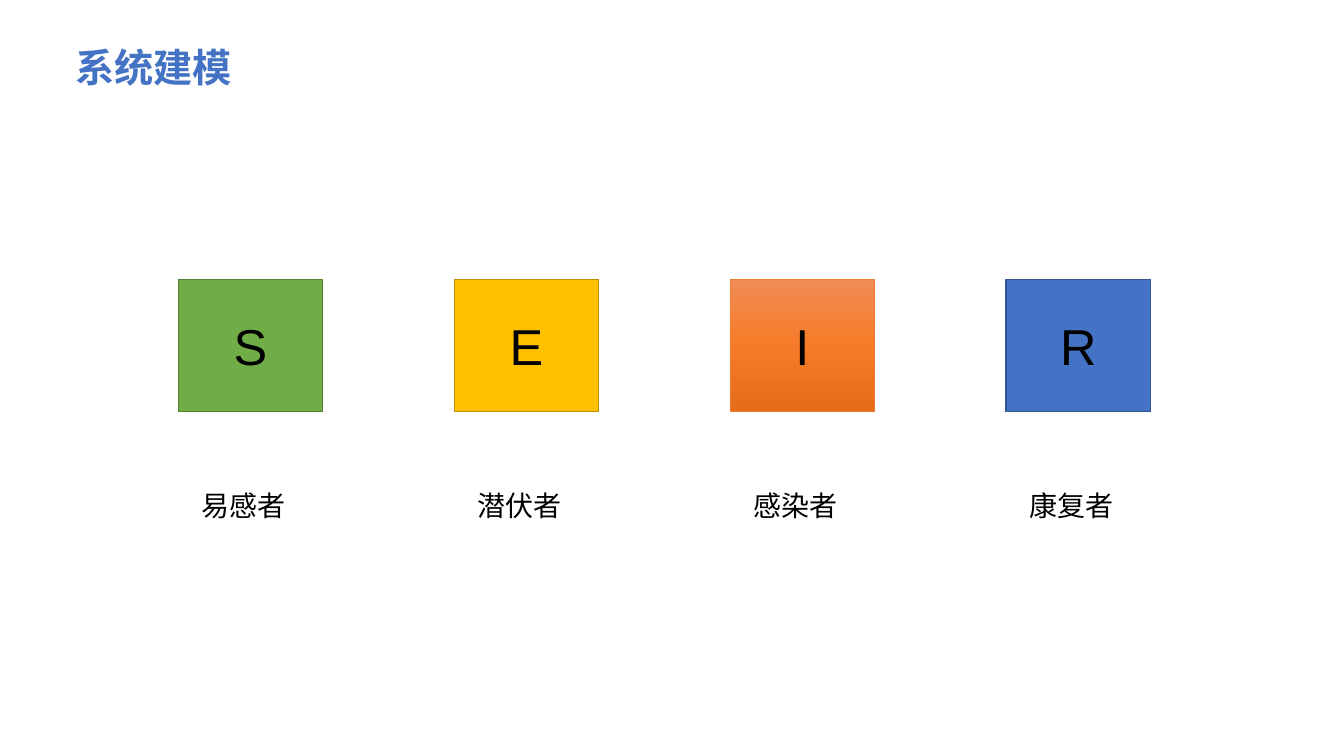
from copy import deepcopy
from dataclasses import dataclass

from pptx import Presentation
from pptx.dml.color import RGBColor
from pptx.enum.shapes import MSO_SHAPE as Preset
from pptx.enum.text import MSO_ANCHOR as Anchor, MSO_AUTO_SIZE as AutoSize, PP_ALIGN as Align
from pptx.oxml.ns import qn
from pptx.shapes.autoshape import Shape
from pptx.slide import Slide
from pptx.text.text import TextFrame
from pptx.util import Inches, Pt

BLACK = RGBColor(0x00, 0x00, 0x00)
BLUE = RGBColor(0x44, 0x72, 0xC4)
DARK_BLUE = RGBColor(0x32, 0x54, 0x91)
GREEN = RGBColor(0x70, 0xAD, 0x47)
DARK_GREEN = RGBColor(0x53, 0x80, 0x35)
YELLOW = RGBColor(0xFF, 0xC0, 0x00)
DARK_YELLOW = RGBColor(0xBD, 0x8E, 0x00)
ORANGE = RGBColor(0xED, 0x7D, 0x31)
ORANGE_TOP = RGBColor(0xF1, 0x8C, 0x57)
ORANGE_MIDDLE = RGBColor(0xF6, 0x7B, 0x28)
ORANGE_BOTTOM = RGBColor(0xE5, 0x6C, 0x19)

FONT = "Arial"
FIRST_LEFT, LAST_LEFT = 1.77, 9.98
BOX_TOP, BOX_WIDTH, BOX_HEIGHT = 2.77, 1.43, 1.31
LABEL_OFFSET, LABEL_TOP, LABEL_WIDTH, LABEL_HEIGHT = 0.13, 4.8, 1.18, 0.44


@dataclass(frozen=True)
class Compartment:
    letter: str
    label: str
    fills: tuple[RGBColor, ...]
    line: RGBColor
    line_width: float = 1


COMPARTMENTS = (
    Compartment("S", "易感者", (GREEN,), DARK_GREEN),
    Compartment("E", "潜伏者", (YELLOW,), DARK_YELLOW),
    Compartment("I", "感染者", (ORANGE_TOP, ORANGE_MIDDLE, ORANGE_BOTTOM), ORANGE, 0.5),
    Compartment("R", "康复者", (BLUE,), DARK_BLUE),
)


def write_text(frame: TextFrame, text: str, size: float, color: RGBColor, bold: bool = False) -> None:
    frame.word_wrap = True
    frame.text = text
    font = frame.paragraphs[0].runs[0].font
    font.name, font.size, font.bold = FONT, Pt(size), bold
    font.color.rgb = color


def add_text(slide: Slide, left: float, top: float, width: float, height: float,
             text: str, size: float, color: RGBColor, bold: bool = False) -> None:
    box = slide.shapes.add_textbox(Inches(left), Inches(top), Inches(width), Inches(height))
    write_text(box.text_frame, text, size, color, bold)
    box.text_frame.auto_size = AutoSize.SHAPE_TO_FIT_TEXT


def fill_shape(shape: Shape, colors: tuple[RGBColor, ...]) -> None:
    if len(colors) == 1:
        shape.fill.solid()
        shape.fill.fore_color.rgb = colors[0]
        return
    shape.fill.gradient()
    shape.fill.gradient_angle = 270
    stop_list = shape.element.spPr.find(f".//{qn('a:gsLst')}")
    for _ in range(len(colors) - len(stop_list)):
        stop_list.append(deepcopy(stop_list[-1]))
    for index, (stop, color) in enumerate(zip(shape.fill.gradient_stops, colors)):
        stop.position = index / (len(colors) - 1)
        stop.color.rgb = color


def add_compartment(slide: Slide, left: float, compartment: Compartment) -> None:
    shape = slide.shapes.add_shape(
        Preset.RECTANGLE, Inches(left), Inches(BOX_TOP), Inches(BOX_WIDTH), Inches(BOX_HEIGHT))
    shape.shadow.inherit = False
    fill_shape(shape, compartment.fills)
    shape.line.color.rgb = compartment.line
    shape.line.width = Pt(compartment.line_width)
    write_text(shape.text_frame, compartment.letter, 36, BLACK)
    shape.text_frame.vertical_anchor = Anchor.MIDDLE
    shape.text_frame.paragraphs[0].alignment = Align.CENTER
    add_text(slide, left + LABEL_OFFSET, LABEL_TOP, LABEL_WIDTH, LABEL_HEIGHT,
             compartment.label, 20, BLACK)


def main() -> None:
    presentation = Presentation()
    presentation.slide_width = Inches(13.33)
    presentation.slide_height = Inches(7.5)
    slide = presentation.slides.add_slide(presentation.slide_layouts[6])
    add_text(slide, 0.65, 0.38, 5.22, 0.57, "系统建模", 28, BLUE, bold=True)
    pitch = (LAST_LEFT - FIRST_LEFT) / (len(COMPARTMENTS) - 1)
    for index, compartment in enumerate(COMPARTMENTS):
        add_compartment(slide, FIRST_LEFT + index * pitch, compartment)
    presentation.save("out.pptx")


if __name__ == "__main__":
    main()
